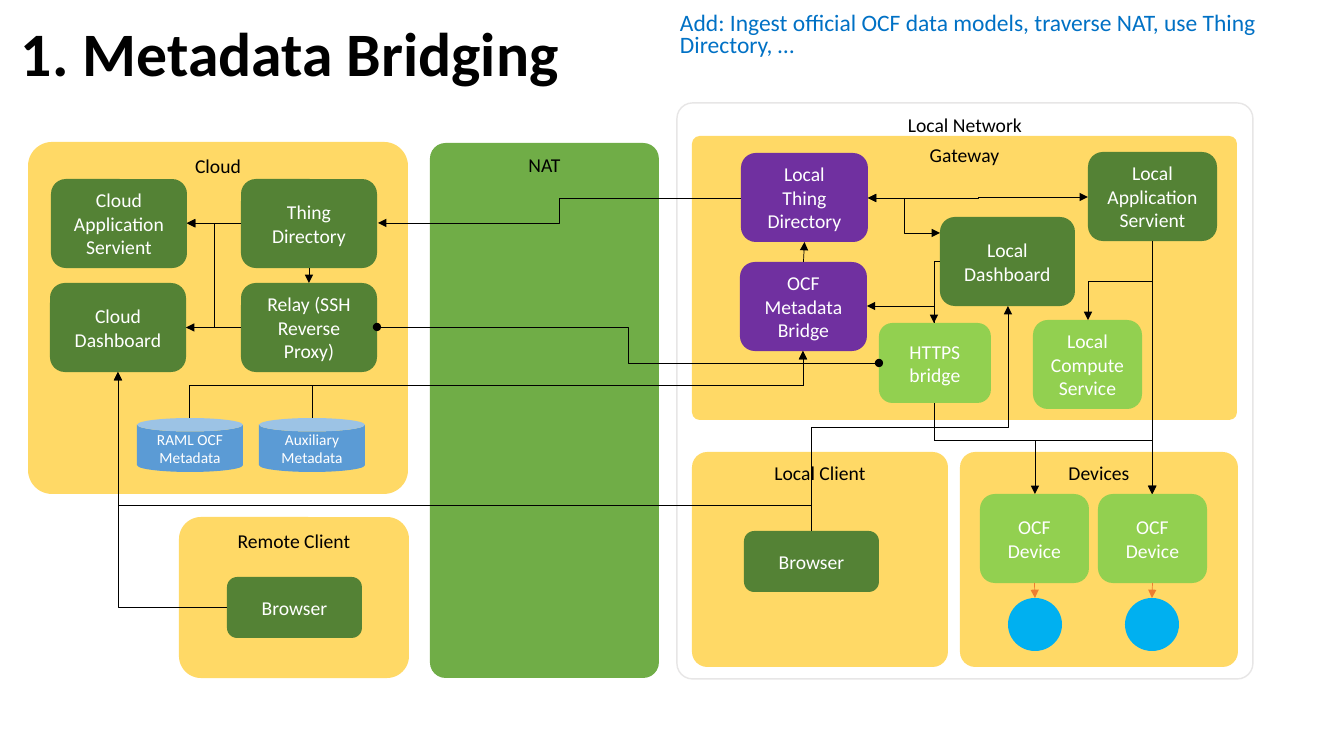
from lxml import etree
from pptx import Presentation
from pptx.dml.color import RGBColor
from pptx.enum.shapes import MSO_CONNECTOR, MSO_SHAPE
from pptx.enum.text import MSO_ANCHOR, MSO_AUTO_SIZE, PP_ALIGN
from pptx.oxml.ns import qn
from pptx.util import Pt

SCALE = 914400 / 100.8
ROUNDED, OVAL, CAN = MSO_SHAPE.ROUNDED_RECTANGLE, MSO_SHAPE.OVAL, MSO_SHAPE.CAN
STRAIGHT, ELBOW = MSO_CONNECTOR.STRAIGHT, MSO_CONNECTOR.ELBOW
TOP, MIDDLE = MSO_ANCHOR.TOP, MSO_ANCHOR.MIDDLE
CENTER, LEFT = PP_ALIGN.CENTER, PP_ALIGN.LEFT
NO_FIT = MSO_AUTO_SIZE.NONE
BLACK, WHITE, YELLOW, ORANGE = "000000", "FFFFFF", "FFD966", "ED7D31"
DARK, LIGHT, PURPLE, BLUE = "548235", "92D050", "7030A0", "5B9BD5"
UP, WEST, DOWN, EAST = 0, 1, 2, 3


def px(*lengths):
    return [round(length * SCALE) for length in lengths]


def color(hex_string):
    return RGBColor.from_string(hex_string)


presentation = Presentation()
presentation.slide_width, presentation.slide_height = px(1344, 756)
slide = presentation.slides.add_slide(presentation.slide_layouts[1])

headings = [
    (slide.shapes.title, (11, 0, 644, 104), "1. Metadata Bridging", 44.1, BLACK, True, 1.0, MIDDLE),
    (slide.placeholders[1], (670, 3, 653, 67),
     "Add: Ingest official OCF data models, traverse NAT, use Thing Directory, …",
     16.8, "0071C5", False, 0.8, TOP),
]
for placeholder, box, text, size, ink, bold, spacing, anchor in headings:
    placeholder.left, placeholder.top, placeholder.width, placeholder.height = px(*box)
    frame = placeholder.text_frame
    frame.text = text
    frame.word_wrap = True
    frame.auto_size = NO_FIT
    frame.vertical_anchor = anchor
    frame.margin_left = frame.margin_right = frame.margin_top = frame.margin_bottom = px(10)[0]
    paragraph = frame.paragraphs[0]
    properties = paragraph._p.get_or_add_pPr()
    properties.set("marL", "0")
    properties.set("indent", "0")
    etree.SubElement(properties, qn("a:buNone"))
    paragraph.alignment = LEFT
    paragraph.line_spacing = spacing
    paragraph.space_before = Pt(0)
    paragraph.font.name = "Calibri"
    paragraph.font.size = Pt(size)
    paragraph.font.bold = bold
    paragraph.font.color.rgb = color(ink)

panels = [
    ("Local Network", (677, 103, 576, 576), None, 0.027),
    ("Local Client", (692, 452, 256, 215), YELLOW, 0.071),
    ("Gateway", (692, 136, 545, 284), YELLOW, 0.027),
    ("Devices", (960, 452, 278, 215), YELLOW, 0.071),
    ("NAT", (430, 143, 229, 535), "70AD47", 0.068),
    ("Cloud", (28, 142, 380, 352), YELLOW, 0.068),
    ("Remote Client", (179, 517, 230, 161), YELLOW, 0.137),
]
nodes = [
    ("bridge", "OCF\nMetadata Bridge", (740, 262, 127, 89), PURPLE, ROUNDED),
    ("https", "HTTPS bridge", (879, 323, 112, 80), LIGHT, ROUNDED),
    ("local servient", "Local\nApplication\nServient", (1088, 152, 129, 89), DARK, ROUNDED),
    ("local directory", "Local\nThing Directory", (741, 153, 127, 89), PURPLE, ROUNDED),
    ("device 1", "OCF\nDevice", (980, 494, 109, 89), LIGHT, ROUNDED),
    ("device 2", "OCF\nDevice", (1098, 494, 109, 89), LIGHT, ROUNDED),
    ("thing 1", "", (1008, 598, 54, 53), "00B0F0", OVAL),
    ("thing 2", "", (1125, 598, 54, 53), "00B0F0", OVAL),
    ("relay", "Relay (SSH Reverse Proxy)", (241, 283, 136, 89), DARK, ROUNDED),
    ("cloud dashboard", "Cloud Dashboard", (50, 283, 136, 89), DARK, ROUNDED),
    ("cloud directory", "Thing Directory", (241, 179, 136, 89), DARK, ROUNDED),
    ("cloud servient", "Cloud Application\nServient", (51, 179, 136, 89), DARK, ROUNDED),
    ("local browser", "Browser", (744, 531, 135, 61), DARK, ROUNDED),
    ("remote browser", "Browser", (227, 577, 135, 61), DARK, ROUNDED),
    ("raml", "RAML OCF\nMetadata", (137, 418, 106, 54), BLUE, CAN),
    ("auxiliary", "Auxiliary\nMetadata", (259, 418, 106, 54), BLUE, CAN),
    ("compute", "Local\nCompute\nService", (1033, 320, 109, 89), LIGHT, ROUNDED),
    ("local dashboard", "Local Dashboard", (940, 217, 135, 89), DARK, ROUNDED),
]
blocks = [(text, text, box, fill, ROUNDED, radius, TOP, BLACK) for text, box, fill, radius in panels]
blocks += [(*node, None, MIDDLE, WHITE) for node in nodes]

shapes = {}
for name, text, box, fill, kind, radius, anchor, ink in blocks:
    shape = slide.shapes.add_shape(kind, *px(*box))
    shapes[name] = shape
    shape.shadow.inherit = False
    if radius:
        shape.adjustments[0] = radius
    if fill:
        shape.fill.solid()
        shape.fill.fore_color.rgb = color(fill)
        shape.line.fill.background()
    else:
        shape.fill.background()
        shape.line.color.rgb = color("E7E6E6")
        shape.line.width = Pt(1)
    if text:
        frame = shape.text_frame
        frame.text = text
        frame.word_wrap = True
        frame.vertical_anchor = anchor
        for paragraph in frame.paragraphs:
            paragraph.alignment = CENTER
            paragraph.font.name = "Calibri"
            paragraph.font.size = Pt(11 if kind == CAN else 14)
            paragraph.font.color.rgb = color(ink)

lines = []
joins = [
    ("device 1", DOWN, "thing 1", UP, ORANGE),
    ("device 2", DOWN, "thing 2", UP, ORANGE),
    ("relay", WEST, "cloud dashboard", EAST, BLACK),
    ("cloud directory", WEST, "cloud servient", EAST, BLACK),
    ("cloud directory", DOWN, "relay", UP, BLACK),
    ("bridge", UP, "local directory", DOWN, BLACK),
    ("local servient", DOWN, "device 2", UP, BLACK),
]
for source, source_side, target, target_side, ink in joins:
    connector = slide.shapes.add_connector(STRAIGHT, 0, 0, 0, 0)
    connector.begin_connect(shapes[source], source_side)
    connector.end_connect(shapes[target], target_side)
    lines.append((connector, ink, None, "triangle"))

routes = [
    ((934, 403), (1035, 494), "vertical", 440, None, "triangle"),
    ((934, 403), (1152, 494), "vertical", 440, None, "triangle"),
    ((312, 418), (803, 351), "vertical", 385, None, "triangle"),
    ((189, 418), (803, 351), "vertical", 385, None, "triangle"),
    ((934, 323), (867, 306), "vertical", None, None, "triangle"),
    ((879, 363), (377, 327), "horizontal", 628, "oval", "oval"),
    ((378, 223), (741, 198), "horizontal", 560, "triangle", None),
    ((241, 327), (187, 223), "horizontal", 214, None, "triangle"),
    ((1088, 197), (868, 198), "horizontal", 978, "triangle", "triangle"),
    ((1152, 241), (1088, 320), "vertical", 281, None, "triangle"),
    ((227, 607), (118, 372), "horizontal", None, None, "triangle"),
    ((811, 531), (118, 372), "vertical", 505, None, "triangle"),
    ((811, 531), (1008, 306), "vertical", 427, None, "triangle"),
    ((940, 261), (934, 323), "horizontal", None, None, "triangle"),
    ((868, 198), (940, 233), "horizontal", 904, "triangle", "triangle"),
]
for start, end, direction, turn, head, tail in routes:
    vertical = direction == "vertical"
    ends = [*start, *end]
    if vertical:
        middle_x, middle_y = (start[0] + end[0]) / 2, (start[1] + end[1]) / 2
        half_x, half_y = (end[0] - start[0]) / 2, (end[1] - start[1]) / 2
        ends = [middle_x - half_y, middle_y + half_x, middle_x + half_y, middle_y - half_x]
    connector = slide.shapes.add_connector(ELBOW, *px(*ends))
    properties = connector.element.spPr
    if vertical:
        properties.find(qn("a:xfrm")).set("rot", "5400000")
    geometry = properties.find(qn("a:prstGeom"))
    if turn is None:
        geometry.set("prst", "bentConnector2")
    else:
        axis = 1 if vertical else 0
        share = (turn - start[axis]) / (end[axis] - start[axis])
        etree.SubElement(geometry.find(qn("a:avLst")), qn("a:gd"),
                         name="adj1", fmla=f"val {round(share * 100000)}")
    lines.append((connector, BLACK, head, tail))

for connector, ink, head, tail in lines:
    connector.line.color.rgb = color(ink)
    connector.line.width = Pt(0.5)
    properties = connector.element.spPr
    for tag, arrow in (("a:headEnd", head), ("a:tailEnd", tail)):
        if arrow:
            etree.SubElement(properties.find(qn("a:ln")), qn(tag), type=arrow)
    etree.SubElement(properties, qn("a:effectLst"))

presentation.save("out.pptx")
